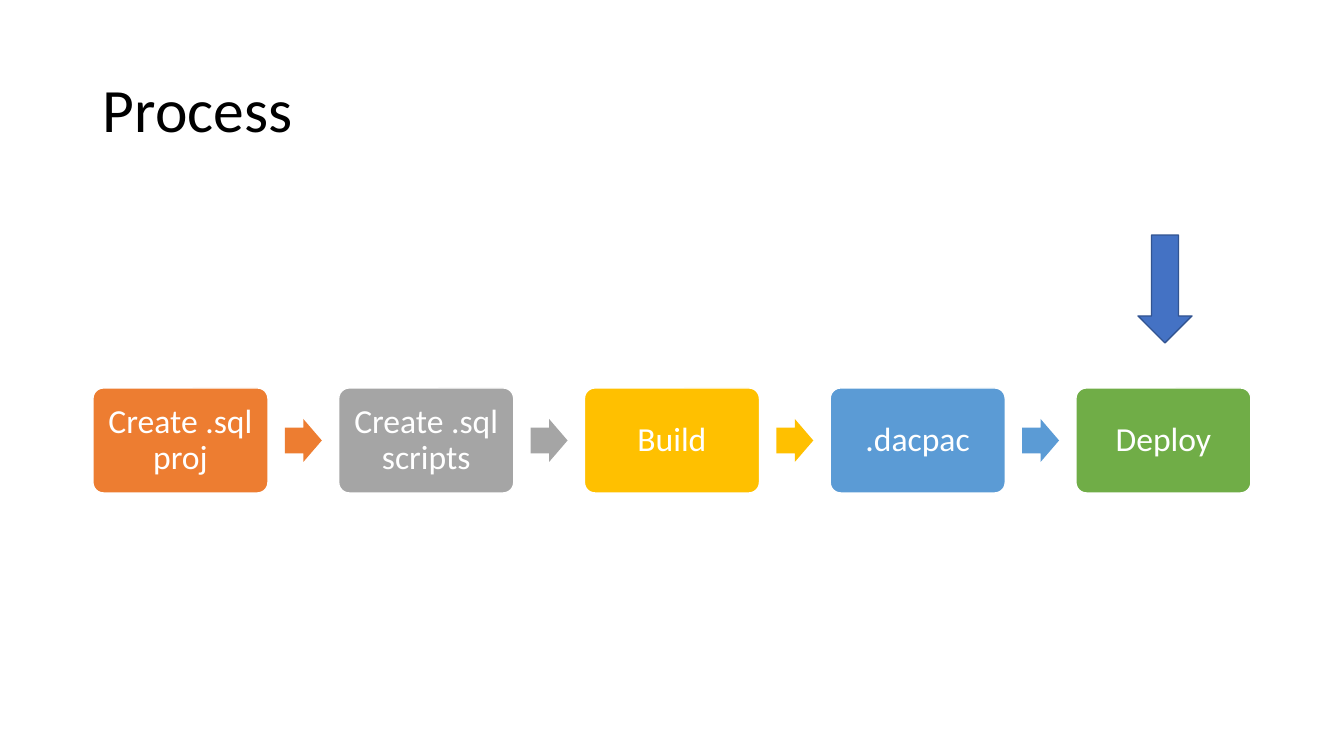
from pptx import Presentation
from pptx.dml.color import RGBColor
from pptx.enum.shapes import MSO_SHAPE as SHAPE
from pptx.enum.text import MSO_ANCHOR as ANCHOR, PP_ALIGN as ALIGN
from pptx.util import Pt

EMU_PER_PX = 914400 / 100.8
STEPS = [
    ("Create .sqlproj", "ED7D31"),
    ("Create .sql scripts", "A5A5A5"),
    ("Build", "FFC000"),
    (".dacpac", "5B9BD5"),
    ("Deploy", "70AD47"),
]


def px(n):
    return round(n * EMU_PER_PX)


def rgb(value):
    return RGBColor.from_string(value)


def set_all(obj, values):
    for name, value in values.items():
        setattr(obj, name, value)


def add_shape(s, kind, box, fill, line=None, adj=()):
    sp = s.shapes.add_shape(kind, *map(px, box))
    sp.shadow.inherit = False
    sp.fill.solid()
    sp.fill.fore_color.rgb = rgb(fill)
    if line:
        sp.line.color.rgb = rgb(line)
        sp.line.width = Pt(1)
    else:
        sp.line.fill.background()
    for i, value in enumerate(adj):
        sp.adjustments[i] = value
    return sp


def write(sp, text, size, color, align, inset_x, inset_y):
    tf = sp.text_frame
    set_all(tf, {
        "word_wrap": True, "vertical_anchor": ANCHOR.MIDDLE,
        "margin_left": px(inset_x), "margin_right": px(inset_x),
        "margin_top": px(inset_y), "margin_bottom": px(inset_y),
    })
    p = tf.paragraphs[0]
    set_all(p, {"alignment": align, "line_spacing": 0.9})
    r = p.add_run()
    r.text = text
    set_all(r.font, {"name": "Calibri", "size": Pt(size)})
    r.font.color.rgb = rgb(color)


def add_title(s, box, text):
    sp = s.shapes.add_textbox(*map(px, box))
    write(sp, text, 44, "000000", ALIGN.LEFT, 10, 5)


def add_process(s, box, steps):
    x, y, w, h = box
    step_w, arrow_w, arrow_h = 175, 37, 43
    pitch = (w - step_w) / (len(steps) - 1)
    gap = (pitch - step_w - arrow_w) / 2
    for i, (label, color) in enumerate(steps):
        left = x + i * pitch
        sp = add_shape(s, SHAPE.ROUNDED_RECTANGLE, (left, y, step_w, h),
                       color, "FFFFFF", [0.1])
        write(sp, label, 24, "FFFFFF", ALIGN.CENTER, 10, 10)
        if i < len(steps) - 1:
            arrow = (left + step_w + gap, y + (h - arrow_h) / 2, arrow_w, arrow_h)
            add_shape(s, SHAPE.RIGHT_ARROW, arrow, color, adj=[0.6, 0.5])


def add_marker(s, box):
    add_shape(s, SHAPE.DOWN_ARROW, box, "4472C4", "325491")


def main():
    prs = Presentation()
    set_all(prs, {"slide_width": px(1344), "slide_height": px(756)})
    s = prs.slides.add_slide(prs.slide_layouts[6])
    add_title(s, (93, 40, 1159, 146), "Process")
    add_process(s, (93, 388, 1158, 105), STEPS)
    add_marker(s, (1138, 235, 54, 108))
    prs.save("out.pptx")


if __name__ == "__main__":
    main()
